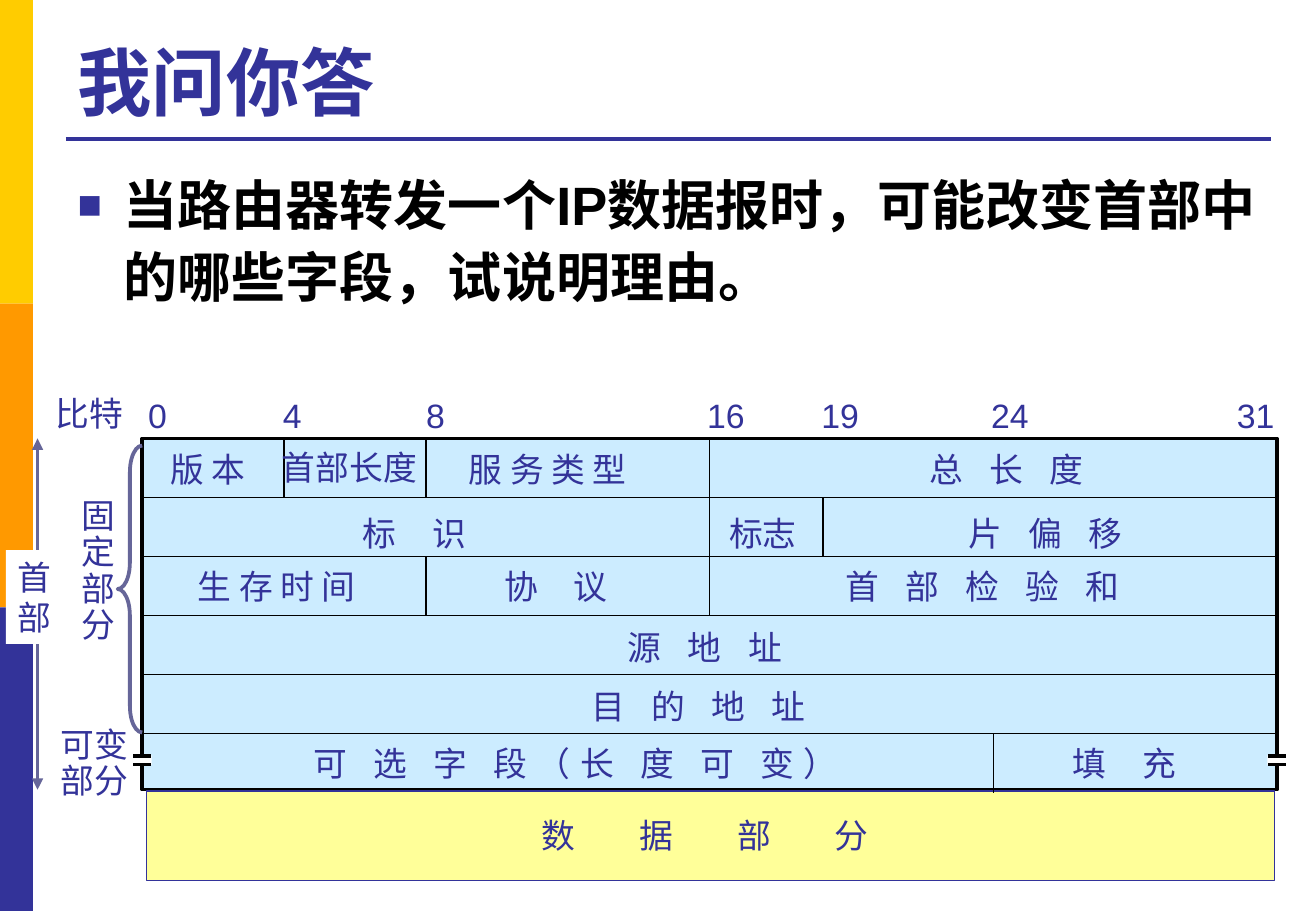
from dataclasses import dataclass

from lxml.etree import SubElement
from pptx import Presentation
from pptx.dml.color import RGBColor
from pptx.enum.shapes import MSO_CONNECTOR, MSO_SHAPE
from pptx.enum.text import MSO_ANCHOR, PP_ALIGN
from pptx.oxml.ns import qn
from pptx.shapes.autoshape import Shape
from pptx.shapes.connector import Connector
from pptx.util import Emu, Inches, Pt

COLORS = {
    "yellow": "FFCC00", "orange": "FF9900", "indigo": "333399",
    "slate": "666699", "black": "000000", "white": "FFFFFF",
    "header": "CCECFF", "data": "FFFF99",
}
FONT = "Arial"
LABEL_SIZE = 20
SPACE, DIGIT = 5.56, 11.12

SLIDE_W, SLIDE_H = Inches(10.83), Inches(7.5)
GRID_LEFT, GRID_TOP = Inches(1.17), Inches(3.61)
BIT, ROW = Inches(9.34) / 32, Inches(2.43) / 5


@dataclass(frozen=True)
class Label:
    """Text placed by bit column and row; gap is the space between characters, in word spaces."""
    text: str
    bit: float
    row: float
    gap: int = 1
    line_spacing: float = 1.0


@dataclass(frozen=True)
class Divider:
    bit: float
    first_row: float
    last_row: float


BIT_NUMBERS = {0: -0.17, 4: 3.63, 8: 7.67, 16: 15.59, 19: 18.81, 24: 23.6, 31: 30.53}
LABELS = [Label(str(number), bit, -0.84) for number, bit in BIT_NUMBERS.items()] + [
    Label("比特", -2.78, -0.88),
    Label("版 本", 0.45, 0.08),
    Label("首部长度", 3.6, 0.04),
    Label("服 务 类 型", 8.87, 0.08),
    Label("总 长 度", 21.86, 0.08, 3),
    Label("标 识", 5.89, 1.15, 4),
    Label("标志", 16.21, 1.15),
    Label("片 偏 移", 22.95, 1.15, 3),
    Label("生 存 时 间", 1.23, 2.06),
    Label("协 议", 9.87, 2.06, 4),
    Label("首 部 检 验 和", 19.49, 2.06, 3),
    Label("源 地 址", 13.36, 3.09, 3),
    Label("目 的 地 址", 12.33, 4.09, 3),
    Label("可 选 字 段（长 度 可 变）", 4.49, 5.06, 3),
    Label("填 充", 25.9, 5.06, 4),
    Label("数 据 部 分", 10.93, 6.28, 7),
    Label("固\n定\n部\n分", -2.06, 0.93, line_spacing=0.9),
    Label("可变\n部分", -2.64, 4.81, line_spacing=0.9),
]
DIVIDERS = [
    Divider(4, 0, 1), Divider(8, 0, 1), Divider(8, 2, 3),
    Divider(16, 0, 3), Divider(19.2, 1, 2), Divider(24, 5, 6),
]

presentation = Presentation()
presentation.slide_width, presentation.slide_height = SLIDE_W, SLIDE_H
slide = presentation.slides.add_slide(presentation.slide_layouts[6])


def color(name: str) -> RGBColor:
    return RGBColor.from_string(COLORS[name])


def across(percent: float) -> Emu:
    return Emu(round(SLIDE_W * percent / 100))


def down(percent: float) -> Emu:
    return Emu(round(SLIDE_H * percent / 100))


def at_bit(bit: float) -> Emu:
    return Emu(round(GRID_LEFT + BIT * bit))


def at_row(row: float) -> Emu:
    return Emu(round(GRID_TOP + ROW * row))


def add_block(left: Emu, top: Emu, right: Emu, bottom: Emu, fill: str | None,
              line: str | None = None, line_width: float = 1,
              preset: MSO_SHAPE = MSO_SHAPE.RECTANGLE) -> Shape:
    block = slide.shapes.add_shape(preset, left, top, right - left, bottom - top)
    block.shadow.inherit = False
    if fill:
        block.fill.solid()
        block.fill.fore_color.rgb = color(fill)
    else:
        block.fill.background()
    if line:
        block.line.color.rgb = color(line)
        block.line.width = Pt(line_width)
    else:
        block.line.fill.background()
    return block


def add_rule(x1: Emu, y1: Emu, x2: Emu, y2: Emu, line: str = "black", width: float = 1) -> Connector:
    rule = slide.shapes.add_connector(MSO_CONNECTOR.STRAIGHT, x1, y1, x2, y2)
    rule.line.color.rgb = color(line)
    rule.line.width = Pt(width)
    SubElement(rule._element.spPr, qn("a:effectLst"))
    return rule


def write(box: Shape, text: str, size: float, ink: str = "indigo", bold: bool = False,
          tracking: float = 0, line_spacing: float = 1.0) -> None:
    box.text_frame.text = text
    for paragraph in box.text_frame.paragraphs:
        paragraph.alignment = PP_ALIGN.LEFT
        paragraph.line_spacing = line_spacing
        for run in paragraph.runs:
            run.font.name, run.font.size, run.font.bold = FONT, Pt(size), bold
            run.font.color.rgb = color(ink)
            if tracking:
                run._r.get_or_add_rPr().set("spc", str(round(tracking * 100)))


def add_label(label: Label) -> None:
    tracking = (label.gap - 1) * SPACE / 2
    lines = label.text.split("\n")
    points = max(
        sum(tracking + (SPACE if c == " " else DIGIT if c.isascii() else LABEL_SIZE) for c in line)
        for line in lines
    )
    box = slide.shapes.add_textbox(at_bit(label.bit), at_row(label.row),
                                   Pt(points) + Inches(0.2), Inches(0.1 + 0.33 * len(lines)))
    box.text_frame.word_wrap = False
    write(box, label.text, LABEL_SIZE, tracking=tracking, line_spacing=label.line_spacing)


def add_heading() -> None:
    for index, fill in enumerate(("yellow", "orange", "indigo")):
        add_block(0, down(100 * index / 3), across(2.5), down(100 * (index + 1) / 3), fill)
    add_rule(across(5), down(15.3), across(96.6), down(15.3), "indigo", 2.25)

    title = slide.shapes.add_textbox(across(5), down(2.8), across(91.5), down(11.6))
    title.text_frame.word_wrap = True
    title.text_frame.vertical_anchor = MSO_ANCHOR.BOTTOM
    write(title, "我问你答", 44, bold=True)

    question = slide.shapes.add_textbox(across(5), down(17.5), across(91.5), down(18))
    question.text_frame.word_wrap = True
    write(question, "当路由器转发一个IP数据报时，可能改变首部中的哪些字段，试说明理由。",
          32, "black", bold=True, line_spacing=1.1)
    properties = question.text_frame.paragraphs[0]._p.get_or_add_pPr()
    properties.set("marL", str(Inches(0.38)))
    properties.set("indent", str(-Inches(0.38)))
    bullet_color = SubElement(properties, qn("a:buClr"))
    SubElement(bullet_color, qn("a:srgbClr"), val=COLORS["indigo"])
    SubElement(properties, qn("a:buSzPct"), val="75000")
    SubElement(properties, qn("a:buFont"), typeface=FONT)
    SubElement(properties, qn("a:buChar"), char="■")


def add_header_extent() -> None:
    """Double arrow over the whole header, with its name in the middle."""
    extent = add_rule(at_bit(-2.95), at_row(0), at_bit(-2.95), at_row(5.95), "slate", 2.25)
    outline = extent.line._get_or_add_ln()
    for end in ("a:headEnd", "a:tailEnd"):
        SubElement(outline, qn(end), type="triangle")
    name = add_block(at_bit(-3.84), at_row(1.89), at_bit(-2.19), at_row(3.48), "white")
    name.text_frame.word_wrap = False
    write(name, "首\n部", LABEL_SIZE)


def add_datagram() -> None:
    header = add_block(at_bit(0), at_row(0), at_bit(32), at_row(5.95), "header", "black", 2)
    add_block(at_bit(0.12), at_row(5.97), at_bit(31.93), at_row(7.49), "data", "indigo")
    for row in range(1, 6):
        add_rule(at_bit(0), at_row(row), at_bit(32), at_row(row))
    for divider in DIVIDERS:
        rule = add_rule(at_bit(divider.bit), at_row(divider.first_row),
                        at_bit(divider.bit), at_row(divider.last_row))
        if divider.bit == 16:
            rule.begin_connect(header, 0)


def add_break(bit: float, row: float = 5.45) -> None:
    """Double dash that interrupts the header's side."""
    add_block(at_bit(bit - 0.27), at_row(row - 0.08), at_bit(bit + 0.27), at_row(row + 0.08), "white")
    for y in (at_row(row - 0.07), at_row(row + 0.07)):
        add_rule(at_bit(bit - 0.25), y, at_bit(bit + 0.25), y, width=2)


add_heading()
add_header_extent()
add_datagram()
for field_label in LABELS:
    add_label(field_label)
for side in (0, 32):
    add_break(side)
brace = add_block(at_bit(-0.69), at_row(0.12), at_bit(0), at_row(4.98), None, "slate", 2.25,
                  MSO_SHAPE.LEFT_BRACE)
brace.adjustments[0] = 1.08
brace.adjustments[1] = 0.5

presentation.save("out.pptx")
